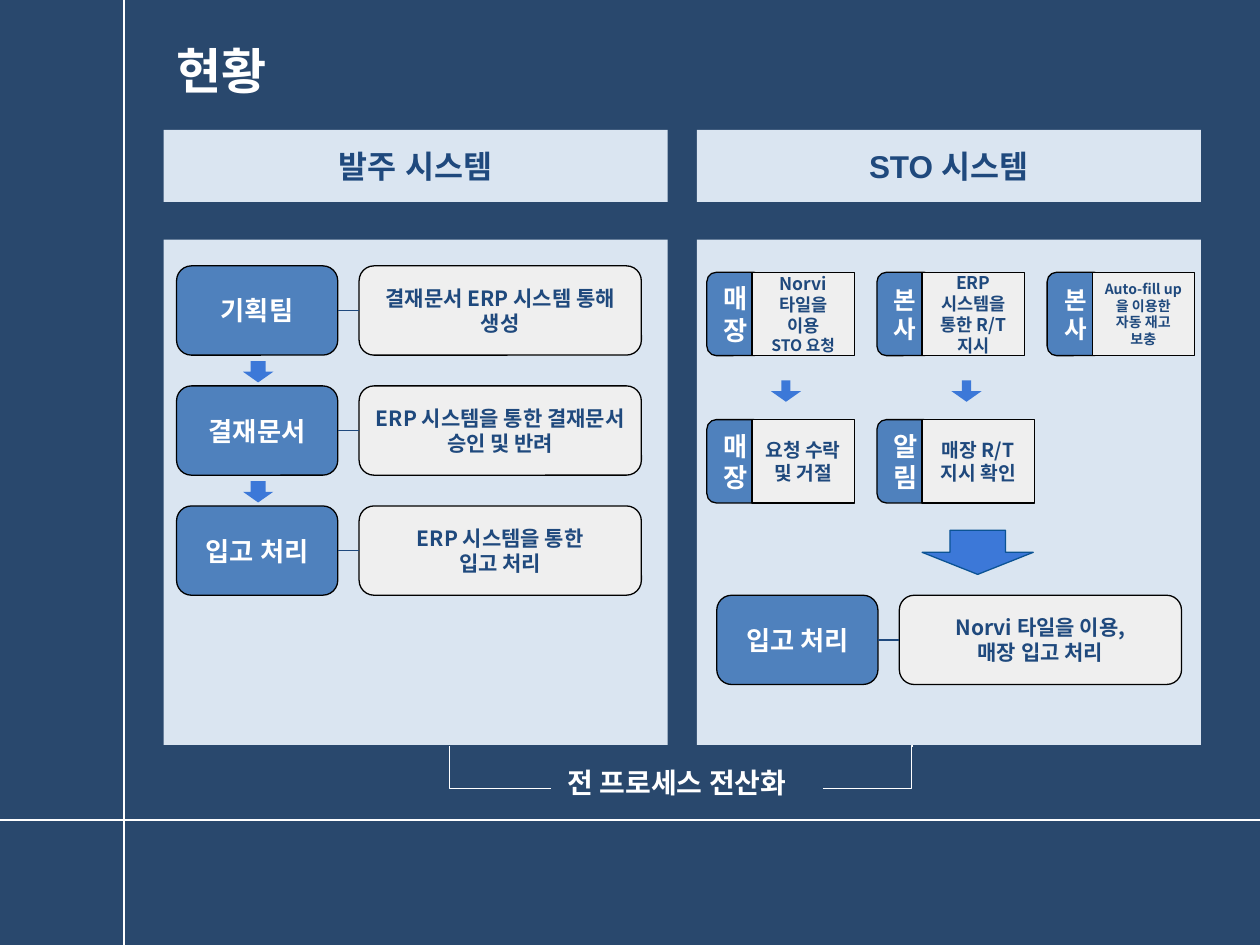
from dataclasses import dataclass

import lxml.etree
import pptx
import pptx.dml.color
import pptx.enum.shapes
import pptx.enum.text
import pptx.oxml.ns
import pptx.util

Cm = pptx.util.Cm
SHAPE = pptx.enum.shapes.MSO_SHAPE
LINK = pptx.enum.shapes.MSO_CONNECTOR
ANCHOR = pptx.enum.text.MSO_ANCHOR
ALIGN = pptx.enum.text.PP_ALIGN
qn = pptx.oxml.ns.qn


@dataclass(frozen=True)
class Theme:
    back: str = "29486D"
    panel: str = "DAE5F1"
    step: str = "4F81BD"
    note: str = "EFEFEF"
    arrow: str = "3C78D8"
    arrow_edge: str = "0B5394"
    ink: str = "1F497D"
    white: str = "FFFFFF"
    black: str = "000000"
    font: str = "Noto Sans CJK KR"
    latin: str = "Arial"
    title: int = 28
    header: int = 18
    footer: int = 16
    label: int = 15
    body: int = 12
    line: float = 0.75


THEME = Theme()
STEP_W, NOTE_W, STEP_H, STEP_GAP = 3.25, 5.69, 1.8, 0.43
TAG_W, TAG_H = 1.14, 1.68


def rgb(value):
    return pptx.dml.color.RGBColor.from_string(value)


def write(shape, text, *, size, color=THEME.ink, font=THEME.font, align=ALIGN.CENTER,
          anchor=ANCHOR.MIDDLE, pad=0.13):
    """Write one paragraph per line of text; size is a number or one number per line."""
    frame = shape.text_frame
    frame.word_wrap = True
    frame.vertical_anchor = anchor
    frame.margin_left = frame.margin_right = Cm(0.25)
    frame.margin_top = frame.margin_bottom = Cm(pad)
    lines = text.split("\n")
    sizes = size if isinstance(size, tuple) else (size,) * len(lines)
    for index, (line, points) in enumerate(zip(lines, sizes)):
        para = frame.add_paragraph() if index else frame.paragraphs[0]
        para.alignment = align
        span = para.add_run()
        span.text = line
        span.font.size = pptx.util.Pt(points)
        span.font.bold = True
        span.font.color.rgb = rgb(color)
        span.font.name = font
        lines_props = span.font._element
        lxml.etree.SubElement(lines_props, qn("a:ea"), typeface=font)


def add_box(page, kind, x, y, w, h, fill, edge=None, adjust=()):
    shape = page.shapes.add_shape(kind, Cm(x), Cm(y), Cm(w), Cm(h))
    shape.shadow.inherit = False
    shape.fill.solid()
    shape.fill.fore_color.rgb = rgb(fill)
    if edge:
        shape.line.color.rgb = rgb(edge)
        shape.line.width = pptx.util.Pt(THEME.line)
    else:
        shape.line.fill.background()
    for index, value in enumerate(adjust):
        shape.adjustments[index] = value
    return shape


def add_line(page, start, end, color, bend=None):
    """Draw a straight line, or an elbow that turns at the given share of its width."""
    kind = LINK.STRAIGHT if bend is None else LINK.ELBOW
    line = page.shapes.add_connector(kind, *map(Cm, start + end))
    line.line.color.rgb = rgb(color)
    line.line.width = pptx.util.Pt(THEME.line)
    props = line._element.spPr
    lxml.etree.SubElement(props, qn("a:effectLst"))
    if bend is not None:
        guides = props.find(qn("a:prstGeom")).get_or_add_avLst()
        lxml.etree.SubElement(guides, qn("a:gd"), name="adj1", fmla=f"val {round(bend * 100000)}")


def add_text(page, text, x, y, w, h, **style):
    write(page.shapes.add_textbox(Cm(x), Cm(y), Cm(w), Cm(h)), text, **style)


def small_arrow(page, x, y, shaft=0.5):
    add_box(page, SHAPE.DOWN_ARROW, x, y, 0.61, 0.43, THEME.arrow, adjust=(shaft, 0.5))


def step_row(page, x, y, name, note, font=THEME.font):
    """A named step, linked to its description on the right."""
    note_x = x + STEP_W + STEP_GAP
    middle = y + STEP_H / 2
    step = add_box(page, SHAPE.ROUNDED_RECTANGLE, x, y, STEP_W, STEP_H, THEME.step, THEME.black)
    write(step, name, size=THEME.label, color=THEME.white, font=font)
    detail = add_box(page, SHAPE.ROUNDED_RECTANGLE, note_x, y, NOTE_W, STEP_H,
                     THEME.note, THEME.black)
    write(detail, note, size=THEME.body)
    add_line(page, (x + STEP_W, middle), (note_x, middle), THEME.ink)


def tag_card(page, x, y, tag, note, size, tag_size=THEME.label, font=THEME.latin, width=2.06):
    """A narrow tag, overlapped by the card that describes it."""
    label = add_box(page, SHAPE.ROUNDED_RECTANGLE, x, y, TAG_W, TAG_H, THEME.step, THEME.black)
    write(label, tag, size=tag_size, color=THEME.white, font=font)
    card = add_box(page, SHAPE.ROUNDED_RECTANGLE, x + 0.91, y, width, TAG_H,
                   THEME.note, THEME.black, (0,))
    write(card, note, size=size)


def panel(page, x, y, w, h, heading):
    header = add_box(page, SHAPE.RECTANGLE, x, y - 2.21, w, 1.45, THEME.panel)
    write(header, heading, size=THEME.header, font=THEME.latin)
    add_box(page, SHAPE.RECTANGLE, x, y, w, h, THEME.panel)


def order_panel(page, x, y, w, h):
    panel(page, x, y, w, h, "발주 시스템")
    steps = (
        ("기획팀", "결재문서 ERP 시스템 통해 생성", THEME.font),
        ("결재문서", "ERP 시스템을 통한 결재문서 승인 및 반려", THEME.font),
        ("입고 처리", "ERP 시스템을 통한\n입고 처리", THEME.latin),
    )
    for index, (name, note, font) in enumerate(steps):
        top = y + 0.53 + 2.42 * index
        step_row(page, x + 0.26, top, name, note, font)
        if index < len(steps) - 1:
            small_arrow(page, x + 1.6, top + 1.92)


def transfer_panel(page, x, y, w, h):
    panel(page, x, y, w, h, "STO 시스템")
    columns = [x + 0.2 + 3.43 * index for index in range(3)]
    upper, lower = y + 0.66, y + 3.63
    tag_card(page, columns[0], upper, "매장", "Norvi 타일을 이용\nSTO 요청", (10, 9),
             font=THEME.font)
    tag_card(page, columns[1], upper, "본사", "ERP 시스템을 통한 R/T 지시", 10, tag_size=14)
    tag_card(page, columns[2], upper, "본사", "Auto-fill up을 이용한 자동 재고 보충", 8, tag_size=14)
    tag_card(page, columns[0], lower, "매\n장", "요청 수락 및 거절", 11)
    tag_card(page, columns[1], lower, "알림", "매장 R/T 지시 확인", 11, width=2.26)
    for offset in (1.49, 5.13):
        small_arrow(page, x + offset, y + 2.84, shaft=0.3)
    add_box(page, SHAPE.DOWN_ARROW, x + 4.54, y + 5.86, 2.24, 0.89,
            THEME.arrow, THEME.arrow_edge)
    step_row(page, x + 0.4, y + 7.17, "입고 처리", "Norvi 타일을 이용,\n매장 입고 처리")


def summary(page, x, y, w, h):
    """The closing phrase, joined to both panels by elbows."""
    add_text(page, "전 프로세스 전산화", x, y, w, h, size=THEME.footer, color=THEME.white,
             align=ALIGN.LEFT, anchor=ANCHOR.TOP, pad=0.25)
    top, middle = y - 0.15, y + 0.7
    add_line(page, (x - 0.1, middle), (x - 2.13, top), THEME.white, bend=1)
    add_line(page, (x + 5.39, middle), (x + 7.2, top), THEME.white, bend=0.99)


def main():
    deck = pptx.Presentation()
    deck.slide_width, deck.slide_height = Cm(25.4), Cm(19.05)
    page = deck.slides.add_slide(deck.slide_layouts[6])
    page.background.fill.solid()
    page.background.fill.fore_color.rgb = rgb(THEME.back)
    add_line(page, (0, 16.53), (25.4, 16.53), THEME.white)
    add_line(page, (2.5, 0), (2.5, 19.05), THEME.white)
    add_text(page, "현황", 3.3, 0.69, 12.73, 2.64, size=THEME.title, color=THEME.white,
             align=ALIGN.LEFT, anchor=ANCHOR.TOP)
    order_panel(page, 3.3, 4.83, 10.16, 10.19)
    transfer_panel(page, 14.05, 4.83, 10.16, 10.19)
    summary(page, 11.2, 15.19, 5.69, 1.19)
    deck.save("out.pptx")


if __name__ == "__main__":
    main()
